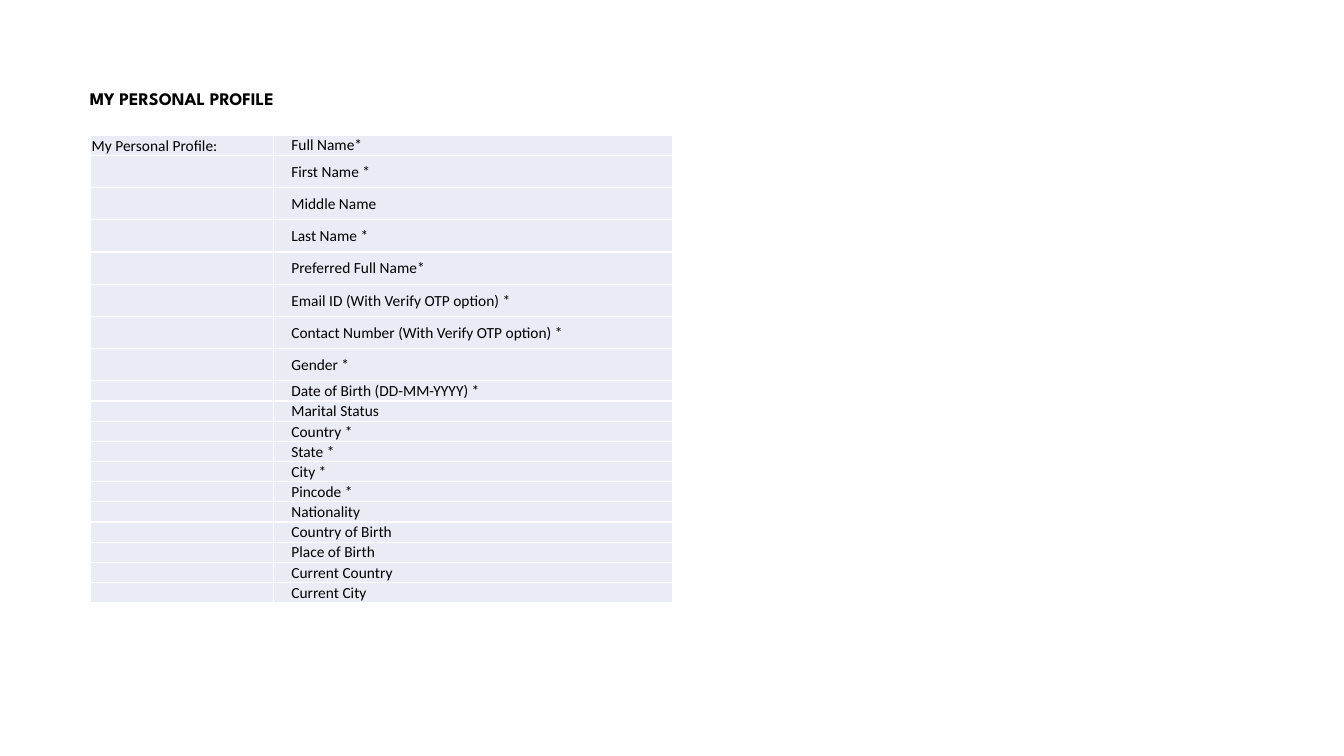
"""Build the personal profile slide with its table of form fields."""
from lxml.etree import SubElement
from pptx import Presentation
from pptx.dml.color import RGBColor
from pptx.enum.text import MSO_ANCHOR, MSO_AUTO_SIZE, PP_ALIGN
from pptx.oxml.ns import qn
from pptx.util import Inches, Pt

TITLE = "MY PERSONAL PROFILE"
SECTION = "My Personal Profile:"
FIELDS = [
    "Full Name*",
    "First Name *",
    "Middle Name",
    "Last Name *",
    "Preferred Full Name*",
    "Email ID (With Verify OTP option) *",
    "Contact Number (With Verify OTP option) *",
    "Gender *",
    "Date of Birth (DD-MM-YYYY) *",
    "Marital Status",
    "Country *",
    "State *",
    "City *",
    "Pincode *",
    "Nationality",
    "Country of Birth",
    "Place of Birth",
    "Current Country",
    "Current City",
]
TALL_ROWS = range(1, 8)
TALL, SHORT = 0.32, 0.2
COLUMN_WIDTHS = [1.81, 3.96]
LEFT_INSETS = [0.01, 0.18]
ANCHORS = [MSO_ANCHOR.BOTTOM, MSO_ANCHOR.MIDDLE]
TEXT_SIZE = 11
BLACK, WHITE, PALE_BLUE = "000000", "FFFFFF", "E9EBF5"


def color(value):
    return RGBColor.from_string(value)


def set_font(para, name, size, bold=False):
    para.font.name = name
    para.font.size = Pt(size)
    para.font.bold = bold
    para.font.color.rgb = color(BLACK)


def add_borders(cell):
    properties = cell._tc.get_or_add_tcPr()
    for side in ("lnL", "lnR", "lnT", "lnB"):
        line = SubElement(properties, qn(f"a:{side}"), w=str(Pt(1)))
        fill = SubElement(line, qn("a:solidFill"))
        SubElement(fill, qn("a:srgbClr"), val=WHITE)


def fill_cell(cell, text, column):
    add_borders(cell)
    cell.fill.solid()
    cell.fill.fore_color.rgb = color(PALE_BLUE)
    cell.margin_left = Inches(LEFT_INSETS[column])
    cell.margin_right = cell.margin_top = Inches(0.01)
    cell.margin_bottom = 0
    cell.vertical_anchor = ANCHORS[column]
    para = cell.text_frame.paragraphs[0]
    if text:
        para.text = text
    set_font(para, "Calibri", TEXT_SIZE)
    if not text:
        SubElement(para._p, qn("a:endParaRPr"), sz=str(TEXT_SIZE * 100))


def add_title(page):
    title = page.shapes.title
    title.left, title.top = Inches(0.79), Inches(0.84)
    title.width, title.height = Inches(2.36), Inches(0.29)
    frame = title.text_frame
    frame.text = TITLE
    frame.word_wrap = True
    frame.auto_size = MSO_AUTO_SIZE.NONE
    frame.vertical_anchor = MSO_ANCHOR.MIDDLE
    para = frame.paragraphs[0]
    para.alignment = PP_ALIGN.LEFT
    para.line_spacing = 0.9
    set_font(para, "League Spartan", 12.6, bold=True)


def add_profile_table(page):
    heights = [TALL if row in TALL_ROWS else SHORT for row in range(len(FIELDS))]
    table = page.shapes.add_table(
        len(FIELDS), len(COLUMN_WIDTHS), Inches(0.9), Inches(1.34),
        Inches(sum(COLUMN_WIDTHS)), Inches(sum(heights))).table
    table.first_row = table.horz_banding = False
    for column, width in zip(table.columns, COLUMN_WIDTHS):
        column.width = Inches(width)
    for index, field in enumerate(FIELDS):
        table.rows[index].height = Inches(heights[index])
        label = SECTION if index == 0 else ""
        for column, text in enumerate((label, field)):
            fill_cell(table.cell(index, column), text, column)


def main():
    deck = Presentation()
    deck.slide_width, deck.slide_height = Inches(13.33), Inches(7.5)
    page = deck.slides.add_slide(deck.slide_layouts[5])
    add_title(page)
    add_profile_table(page)
    deck.save("out.pptx")


if __name__ == "__main__":
    main()
